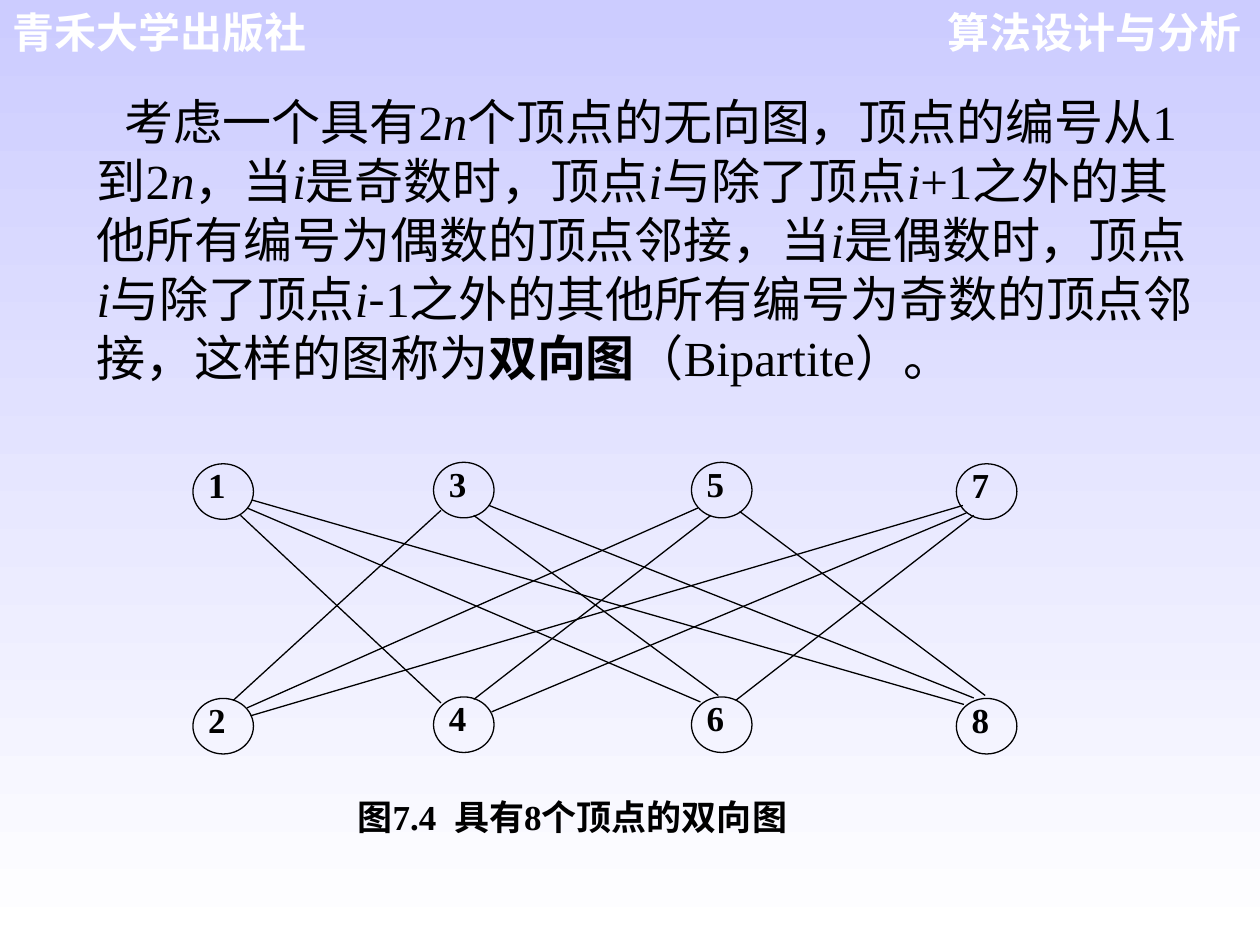
from pptx import Presentation
from pptx.dml.color import RGBColor as RGB
from pptx.enum.shapes import MSO_CONNECTOR as CONN, MSO_SHAPE as SHAPE
from pptx.enum.text import PP_ALIGN as ALIGN
from pptx.oxml.ns import qn
from pptx.util import Cm, Pt
from lxml.etree import SubElement

COLORS = {"top": "CCCCFF", "bottom": "FFFFFF", "header": "FFFFFF", "ink": "000000"}
CJK, SERIF = "Noto Sans CJK SC", "Times New Roman"


def color(name):
    return RGB.from_string(COLORS[name])


def style(r, size, font=SERIF, ink="ink", bold=False, italic=False):
    f = r.font
    f.size, f.name, f.bold, f.italic = Pt(size), font, bold, italic
    f.color.rgb = color(ink)
    SubElement(r._r.get_or_add_rPr(), qn("a:ea")).set("typeface", CJK)


prs = Presentation()
prs.slide_width, prs.slide_height = Cm(25.4), Cm(19.05)
s = prs.slides.add_slide(prs.slide_layouts[6])

# Background gradient, top to bottom
bg = s.background.fill
bg.gradient()
bg.gradient_angle = 270
for stop, name, pos in zip(bg.gradient_stops, ("top", "bottom"), (0, 1)):
    stop.color.rgb = color(name)
    stop.position = pos

# Page header
for x, text, align in [(18.39, "算法设计与分析", ALIGN.RIGHT),
                       (0, "青禾大学出版社", ALIGN.LEFT)]:
    tf = s.shapes.add_textbox(Cm(x), 0, Cm(6.88), Cm(1.27)).text_frame
    tf.word_wrap = True
    p = tf.paragraphs[0]
    p.text, p.alignment, p.space_before = text, align, Pt(15)
    style(p.runs[0], 24, "Arial", "header", bold=True)

# Vertices: odd numbers above, even numbers below
for col, (x, dy) in enumerate([(3.89, 0.03), (8.74, 0), (13.94, 0), (19.28, 0.03)]):
    for row, y in enumerate((9.32, 14.05)):
        sp = s.shapes.add_shape(SHAPE.OVAL, Cm(x), Cm(y + dy), Cm(1.22), Cm(1.12))
        sp.shadow.inherit = False
        sp.fill.background()
        sp.line.color.rgb = color("ink")
        sp.line.width = Pt(0.75)
        tf = sp.text_frame
        tf.margin_left = Cm(0.13)
        tf.margin_top = tf.margin_right = tf.margin_bottom = 0
        tf.vertical_anchor = 1
        p = tf.paragraphs[0]
        p.text, p.alignment, p.line_spacing = str(2 * col + row + 1), ALIGN.JUSTIFY, 0.8
        style(p.runs[0], 20, bold=True)

# Edges: x1, y1, x2, y2 in cm
edges = [
    (4.85, 10.39, 8.89, 14.17), (4.98, 10.24, 14.12, 14.15), (5.08, 10.08, 19.43, 14.2),
    (8.89, 10.29, 4.7, 14.12), (9.55, 10.39, 14.48, 14.02), (9.86, 10.19, 19.63, 14.07),
    (4.98, 14.27, 14.07, 10.24), (5.05, 14.43, 19.41, 10.19), (14.33, 10.39, 9.55, 14.1),
    (14.91, 10.31, 19.86, 14.02), (19.63, 10.39, 14.83, 14.12), (19.48, 10.34, 9.91, 14.35),
]
for edge in edges:
    line = s.shapes.add_connector(CONN.STRAIGHT, *map(Cm, edge))
    line.line.color.rgb = color("ink")
    line.line.width = Pt(0.75)
    SubElement(line._element.spPr, qn("a:effectLst"))

# Caption
tf = s.shapes.add_textbox(Cm(7.21), Cm(16.03), Cm(9.93), Cm(0.99)).text_frame
tf.word_wrap = True
tf.margin_left = tf.margin_top = tf.margin_right = tf.margin_bottom = 0
p = tf.paragraphs[0]
p.text, p.alignment = "图7.4  具有8个顶点的双向图", ALIGN.JUSTIFY
style(p.runs[0], 20, bold=True)

# Definition: variables in italics, the defined term in bold
parts = ["考虑一个具有", "2", "n", "个顶点的无向图，顶点的编号从", "1", "到", "2", "n",
         "，当", "i", "是奇数时，顶点", "i", "与除了顶点", "i", "+1",
         "之外的其他所有编号为偶数的顶点邻接，当", "i", "是偶数时，顶点", "i",
         "与除了顶点", "i", "-", "1",
         "之外的其他所有编号为奇数的顶点邻接，这样的图称为", "双向图", "（",
         "Bipartite", "）。"]
tf = s.shapes.add_textbox(Cm(1.7), Cm(1.73), Cm(22.61), Cm(6.2)).text_frame
tf.word_wrap = True
p = tf.paragraphs[0]
p.space_before = Pt(17.5)
p._p.get_or_add_pPr().set("indent", str(Cm(0.57)))
for part in parts:
    r = p.add_run()
    r.text = part
    font = SERIF if part.isascii() and part != "-" else CJK
    style(r, 28, font, bold=part == "双向图", italic=part in ("i", "n"))

prs.save("out.pptx")
